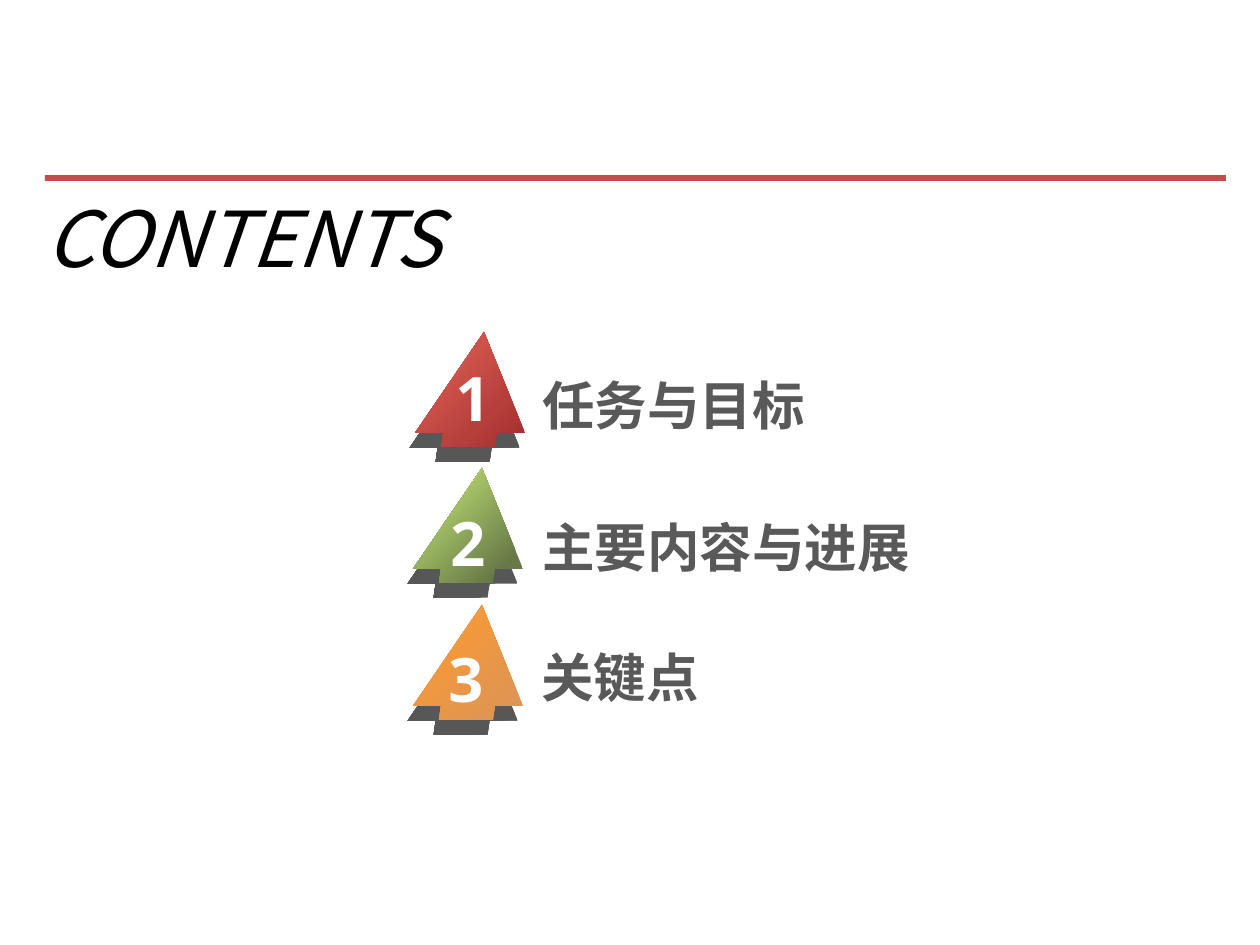
"""Build a contents slide with three numbered arrows and their headings."""
from lxml import etree
from pptx import Presentation
from pptx import util as u
from pptx.dml.color import RGBColor
from pptx.enum import shapes, text
from pptx.oxml import ns

PX = 914400 // 126
BLACK = RGBColor(0x00, 0x00, 0x00)
WHITE = RGBColor(0xFF, 0xFF, 0xFF)
GRAY = RGBColor(0x59, 0x59, 0x59)
RED = RGBColor(0xC2, 0x4D, 0x4A)
CJK_FONT = "Noto Sans CJK SC"
NUMBER_FONT = "Open Sans"
ARROW_OUTLINE = [(41, 101), (13, 101), (11, 115), (-43, 115), (-41, 101), (-69, 101)]
ITEMS = [
    ("1", "任务与目标", (484, 332), (443, 354, 53), (530, 367, 643),
     (0.01, RGBColor(0xA4, 0x2E, 0x2E)), (1, RGBColor(0xE3, 0x67, 0x5A))),
    ("2", "主要内容与进展", (482, 468), (438, 499, 60), (530, 509, 559),
     (0.15, RGBColor(0x67, 0x79, 0x47)), (0.83, RGBColor(0xB8, 0xD8, 0x70))),
    ("3", "关键点", (482, 605), (436, 635, 60), (529, 639, 559),
     (0.01, RGBColor(0xDB, 0x94, 0x58)), (1, RGBColor(0xFF, 0x9B, 0x2D))),
]


def add_text(words, left, top, width, height, size, font_name, color, wrap):
    box = slide.shapes.add_textbox(left * PX, top * PX, width * PX, height * PX)
    box.text_frame.word_wrap = wrap
    box.text_frame.auto_size = text.MSO_AUTO_SIZE.SHAPE_TO_FIT_TEXT
    paragraph = box.text_frame.paragraphs[0]
    paragraph.text = words
    font = paragraph.font
    font.name, font.size, font.color.rgb = font_name, u.Pt(size), color
    properties = paragraph._p.pPr.find(ns.qn("a:defRPr"))
    etree.SubElement(properties, ns.qn("a:ea"), typeface=font_name)
    return font


def add_arrow(left, top, stops):
    builder = slide.shapes.build_freeform(left, top, scale=PX)
    builder.add_line_segments([(left + x, top + y) for x, y in ARROW_OUTLINE])
    arrow = builder.convert_to_shape()
    arrow.line.fill.background()
    arrow.fill.gradient()
    arrow.fill.gradient_angle = 135
    for stop, (position, color) in zip(arrow.fill.gradient_stops, stops):
        stop.position, stop.color.rgb = position, color
    arrow.shadow.inherit = False
    effects = arrow._element.spPr.find(ns.qn("a:effectLst"))
    shadow = etree.SubElement(effects, ns.qn("a:outerShdw"), dist=str(u.Pt(9)),
                              dir=str(110 * 60000), algn="ctr", rotWithShape="0")
    shadow_color = etree.SubElement(shadow, ns.qn("a:srgbClr"), val="000000")
    etree.SubElement(shadow_color, ns.qn("a:alpha"), val="65000")


presentation = Presentation()
presentation.slide_width, presentation.slide_height = 1260 * PX, 945 * PX
slide = presentation.slides.add_slide(presentation.slide_layouts[6])

rule = slide.shapes.add_shape(shapes.MSO_SHAPE.RECTANGLE, 45 * PX, 175 * PX, 1181 * PX, 6 * PX)
rule.shadow.inherit = False
rule.fill.solid()
rule.fill.fore_color.rgb = RED
rule.line.fill.background()

title_font = add_text("CONTENTS", 33, 184, 444, 106, 44, CJK_FONT, BLACK, False)
title_font.italic = True

for number, heading, apex, number_place, heading_place, *stops in ITEMS:
    add_arrow(*apex, stops)
    number_font = add_text(number, *number_place, 87, 35, NUMBER_FONT, WHITE, False)
    heading_font = add_text(heading, *heading_place, 77, 30, CJK_FONT, GRAY, True)
    number_font.bold = heading_font.bold = True

presentation.save("out.pptx")
